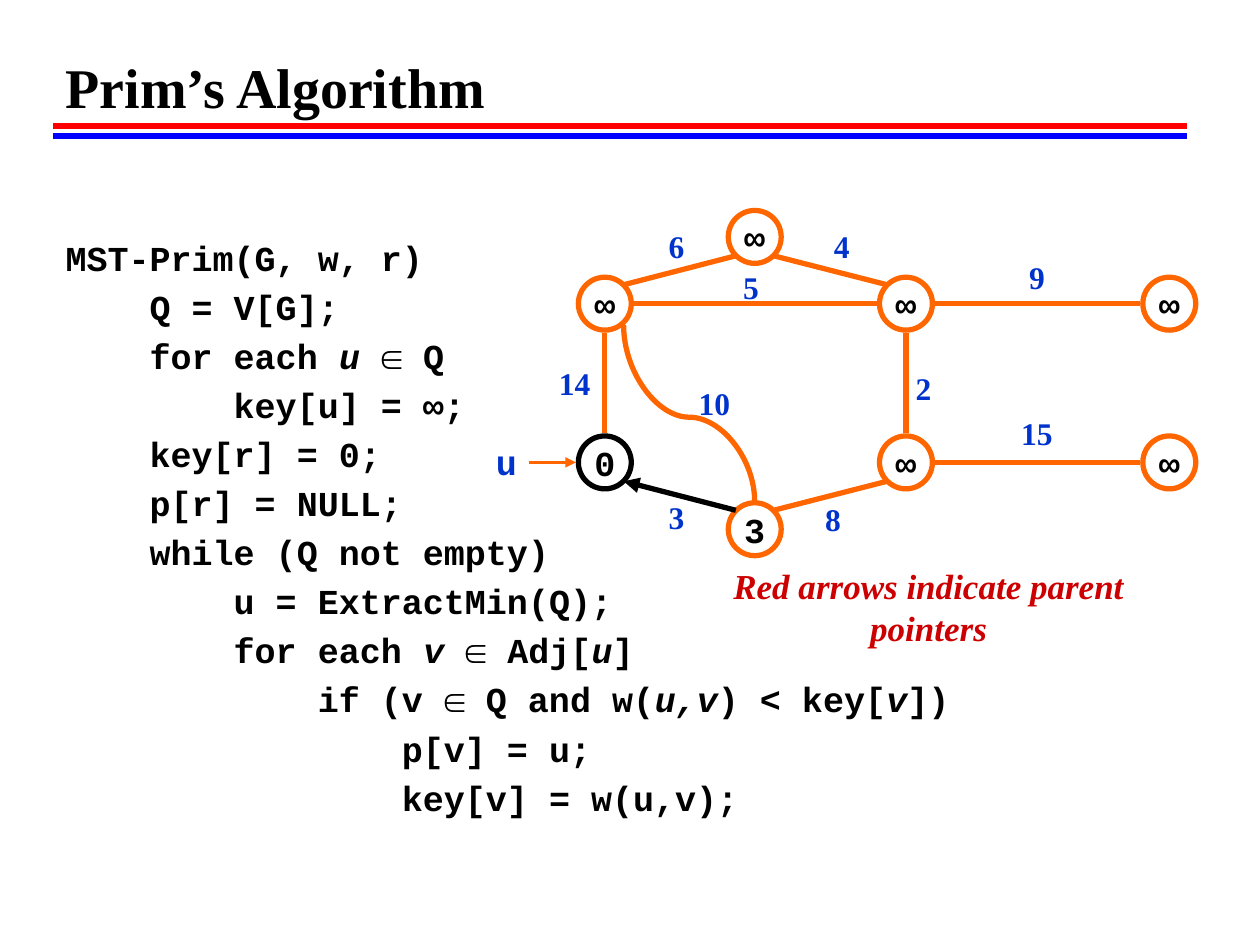
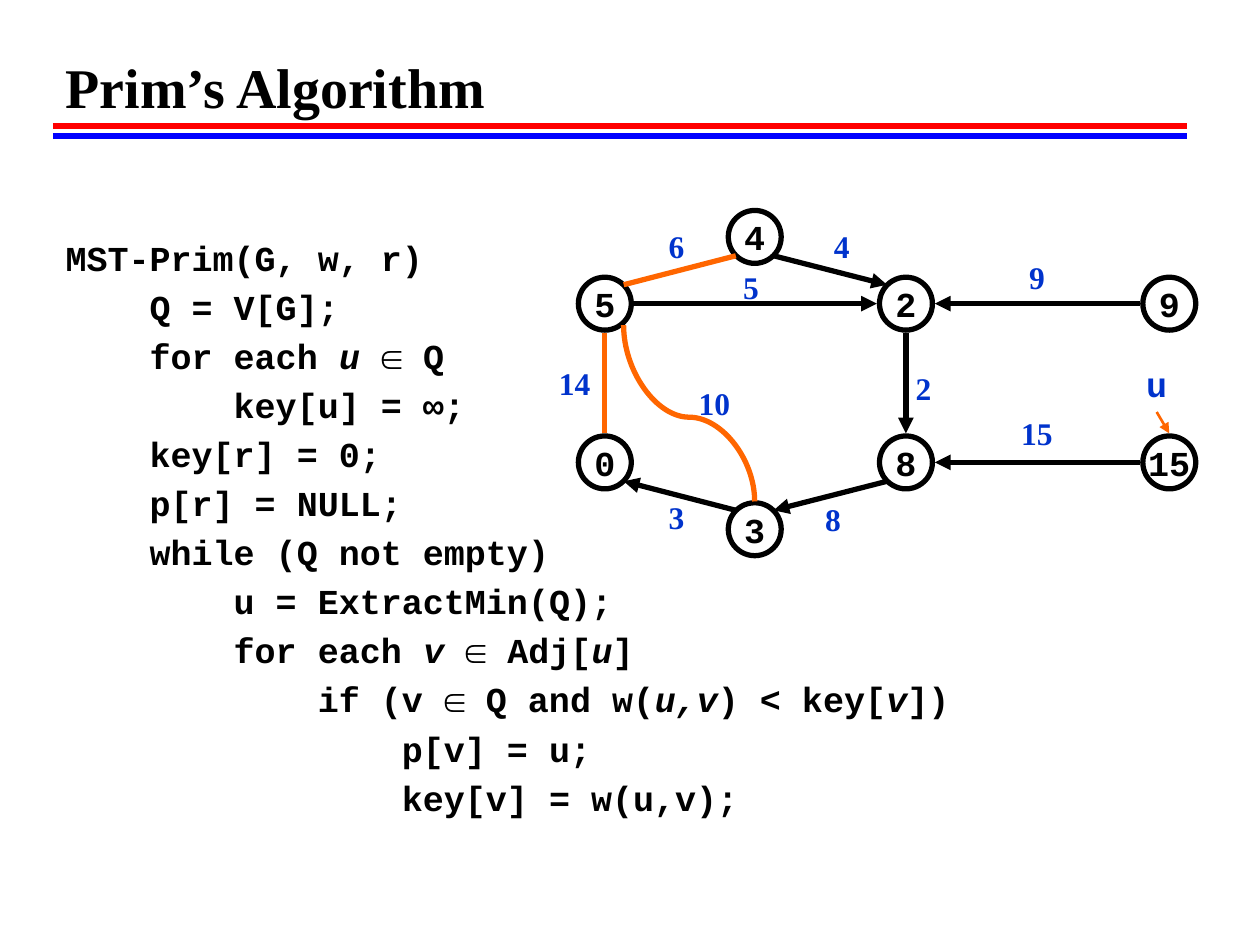
from lxml import etree
from pptx import Presentation
from pptx.dml.color import RGBColor
from pptx.enum.shapes import MSO_CONNECTOR as Link, MSO_SHAPE as Preset
from pptx.enum.text import MSO_ANCHOR as Anchor, MSO_AUTO_SIZE as AutoSize, PP_ALIGN as Align
from pptx.oxml.ns import qn
from pptx.util import Inches, Pt

BLACK = RGBColor(0x00, 0x00, 0x00)
ORANGE = RGBColor(0xFF, 0x66, 0x00)
LABEL_BLUE = RGBColor(0x00, 0x33, 0xCC)
CAPTION_RED = RGBColor(0xCC, 0x00, 0x00)
RULES = [(1.08, RGBColor(0x00, 0x00, 0xFF)), (1.0, RGBColor(0xFF, 0x00, 0x00))]
SERIF, MONO = "Times New Roman", "Courier New"

# Content: each code line is a list of spans, alternating upright and italic
TITLE = "Prim’s Algorithm"
CODE = [
    ["MST-Prim(G, w, r)"],
    ["    Q = V[G];"],
    ["    for each ", "u ", "∈ Q"],
    ["        key[u] = ∞;"],
    ["    key[r] = 0;"],
    ["    p[r] = NULL;"],
    ["    while (Q not empty)"],
    ["        u = ExtractMin(Q);"],
    ["        for each ", "v ", "∈ Adj[", "u", "]"],
    ["            if (v ∈ Q and w(", "u,v", ") < key[", "v", "])"],
    ["                p[v] = u;"],
    ["                key[v] = w(u,v);"],
]

# Graph: vertex centres, and edges with weight, label centre and label top
VERTICES = {
    "upper left": (4.8, 2.41), "upper middle": (7.19, 2.41), "upper right": (9.28, 2.41),
    "root": (4.8, 3.67), "lower middle": (7.19, 3.67), "lower right": (9.28, 3.67),
    "bottom": (5.99, 4.2), "top": (5.99, 1.88),
}
EDGES = [
    ("top", "upper middle", 4, 6.68, 1.75),
    ("top", "upper left", 6, 5.37, 1.75),
    ("upper left", "upper middle", 5, 5.96, 2.08),
    ("root", "upper left", 14, 4.56, 2.84),
    ("root", "bottom", 3, 5.37, 3.9),
    ("bottom", "lower middle", 8, 6.61, 3.92),
    ("lower middle", "upper middle", 2, 7.33, 2.88),
    ("upper middle", "upper right", 9, 8.23, 2.0),
    ("lower middle", "lower right", 15, 8.23, 3.24),
]
CURVED_WEIGHT = (10, 5.67, 3.0)
DIAMETER = 0.42

STEPS = [
    {
        "keys": ["∞", "∞", "∞", "0", "∞", "∞", "3", "∞"],
        "done": {"root"},
        "parents": {"bottom": "root"},
        "u label": (4.02, 3.45),
        "u arrow": ((4.2, 3.67), (4.57, 3.67)),
        "caption": "Red arrows indicate parent pointers",
    },
    {
        "keys": ["5", "2", "9", "0", "8", "15", "3", "4"],
        "done": set(VERTICES),
        "parents": {
            "bottom": "root", "lower middle": "bottom", "upper middle": "lower middle",
            "lower right": "lower middle", "top": "upper middle",
            "upper left": "upper middle", "upper right": "upper middle",
        },
        "u label": (9.18, 2.83),
        "u arrow": ((9.18, 3.27), (9.28, 3.44)),
    },
]


def add_span(para, text, font, size, color=BLACK, italic=False):
    span = para.add_run()
    span.text = text
    span.font.name, span.font.size = font, Pt(size)
    span.font.bold, span.font.italic = True, italic
    span.font.color.rgb = color


def add_line(page, start, end, color, width=3, arrow=None, kind=Link.STRAIGHT):
    line = page.shapes.add_connector(kind, *(Inches(v) for v in (*start, *end)))
    line.line.color.rgb, line.line.width = color, Pt(width)
    properties = line.element.spPr
    if arrow:
        etree.SubElement(properties.find(qn("a:ln")), qn(arrow), type="triangle")
    etree.SubElement(properties, qn("a:effectLst"))
    return line


def add_label(page, text, center, top, width, height, font, size, color, wrap=False, italic=False):
    box = page.shapes.add_textbox(
        Inches(center - width / 2), Inches(top), Inches(width), Inches(height))
    box.text_frame.word_wrap = wrap
    para = box.text_frame.paragraphs[0]
    para.alignment = Align.CENTER
    add_span(para, text, font, size, color, italic)


def add_vertex(page, center, key, color):
    x, y = (Inches(v - DIAMETER / 2) for v in center)
    circle = page.shapes.add_shape(Preset.OVAL, x, y, Inches(DIAMETER), Inches(DIAMETER))
    circle.shadow.inherit = False
    circle.fill.background()
    circle.line.color.rgb, circle.line.width = color, Pt(3)
    frame = circle.text_frame
    frame.word_wrap = False
    frame.vertical_anchor = Anchor.MIDDLE
    frame.margin_left = frame.margin_right = frame.margin_top = frame.margin_bottom = 0
    frame.paragraphs[0].alignment = Align.CENTER
    add_span(frame.paragraphs[0], key, MONO, 20)


def edge_ends(a, b):
    """Trim an edge so that it meets the rims of its two circles."""
    (ax, ay), (bx, by) = VERTICES[a], VERTICES[b]
    dx, dy = (bx > ax) - (bx < ax), (by > ay) - (by < ay)
    gap = 0.15 if dx and dy else 0.23
    return (ax + gap * dx, ay + gap * dy), (bx - gap * dx, by - gap * dy)


def add_curved_edge(page):
    """Join bottom to upper left with a curve that leaves both ends vertically."""
    (x1, y1), (x2, y2) = (5.99, 3.98), (4.95, 2.58)
    mid_x, mid_y = (x1 + x2) / 2, (y1 + y2) / 2
    half_w, half_h = abs(y2 - y1) / 2, abs(x2 - x1) / 2
    curve = add_line(page, (mid_x + half_w, mid_y - half_h), (mid_x - half_w, mid_y + half_h),
                     ORANGE, kind=Link.CURVE)
    properties = curve.element.spPr
    properties.find(qn("a:xfrm")).set("rot", str(90 * 60000))
    geometry = properties.find(qn("a:prstGeom"))
    adjustments = geometry.find(qn("a:avLst"))
    if adjustments is None:
        adjustments = etree.SubElement(geometry, qn("a:avLst"))
    etree.SubElement(adjustments, qn("a:gd"), name="adj1", fmla="val 47800")


def place(shape, left, top, width, height):
    shape.left, shape.top = Inches(left), Inches(top)
    shape.width, shape.height = Inches(width), Inches(height)


def write_text(page):
    title, body = page.shapes.title, page.placeholders[1]
    place(title, 0.42, 0.25, 9, 0.75)
    title.text_frame.vertical_anchor = Anchor.BOTTOM
    title.text_frame.auto_size = AutoSize.NONE
    title.text_frame.paragraphs[0].alignment = Align.LEFT
    add_span(title.text_frame.paragraphs[0], TITLE, SERIF, 32)

    # Pseudocode
    place(body, 0.42, 1.83, 9.03, 6.17)
    frame = body.text_frame
    frame.auto_size = AutoSize.NONE
    for number, spans in enumerate(CODE):
        para = frame.add_paragraph() if number else frame.paragraphs[0]
        properties = para._p.get_or_add_pPr()
        properties.set("marL", str(Inches(0.38)))
        properties.set("indent", str(Inches(-0.38)))
        etree.SubElement(properties, qn("a:buNone"))
        para.space_before = Pt(4 if number else 0)
        for index, text in enumerate(spans):
            add_span(para, text, MONO, 20, italic=index % 2 == 1)


def draw_graph(page, step):
    for (name, center), key in zip(VERTICES.items(), step["keys"]):
        add_vertex(page, center, key, BLACK if name in step["done"] else ORANGE)

    # Edges: black with an arrow to the parent, otherwise plain orange
    parents = step["parents"]
    for a, b, *_ in EDGES:
        arrow = None
        if parents.get(b) == a:
            arrow = "a:headEnd"
        elif parents.get(a) == b:
            arrow = "a:tailEnd"
        add_line(page, *edge_ends(a, b), BLACK if arrow else ORANGE, arrow=arrow)
    add_curved_edge(page)

    # Weights
    for weight, x, top in [edge[2:] for edge in EDGES] + [CURVED_WEIGHT]:
        add_label(page, str(weight), x, top, 0.45, 0.4, SERIF, 18, LABEL_BLUE)

    # Current vertex and caption
    if "caption" in step:
        add_label(page, step["caption"], 7.37, 4.43, 4, 0.76, SERIF, 20, CAPTION_RED,
                  wrap=True, italic=True)
    add_label(page, "u", *step["u label"], 0.37, 0.43, MONO, 20, LABEL_BLUE)
    add_line(page, *step["u arrow"], ORANGE, 1.5, "a:tailEnd")


def main():
    deck = Presentation()
    deck.slide_width, deck.slide_height = Inches(10), Inches(7.5)
    layout = deck.slide_layouts[1]
    pages = [deck.slides.add_slide(layout) for _ in STEPS]

    # Title rules, shared through the layout
    for y, color in RULES:
        rule = add_line(pages[0], (0.42, y), (9.42, y), color)
        layout.shapes.element.append(rule.element)

    for page, step in zip(pages, STEPS):
        write_text(page)
        draw_graph(page, step)
    deck.save("out.pptx")


if __name__ == "__main__":
    main()
